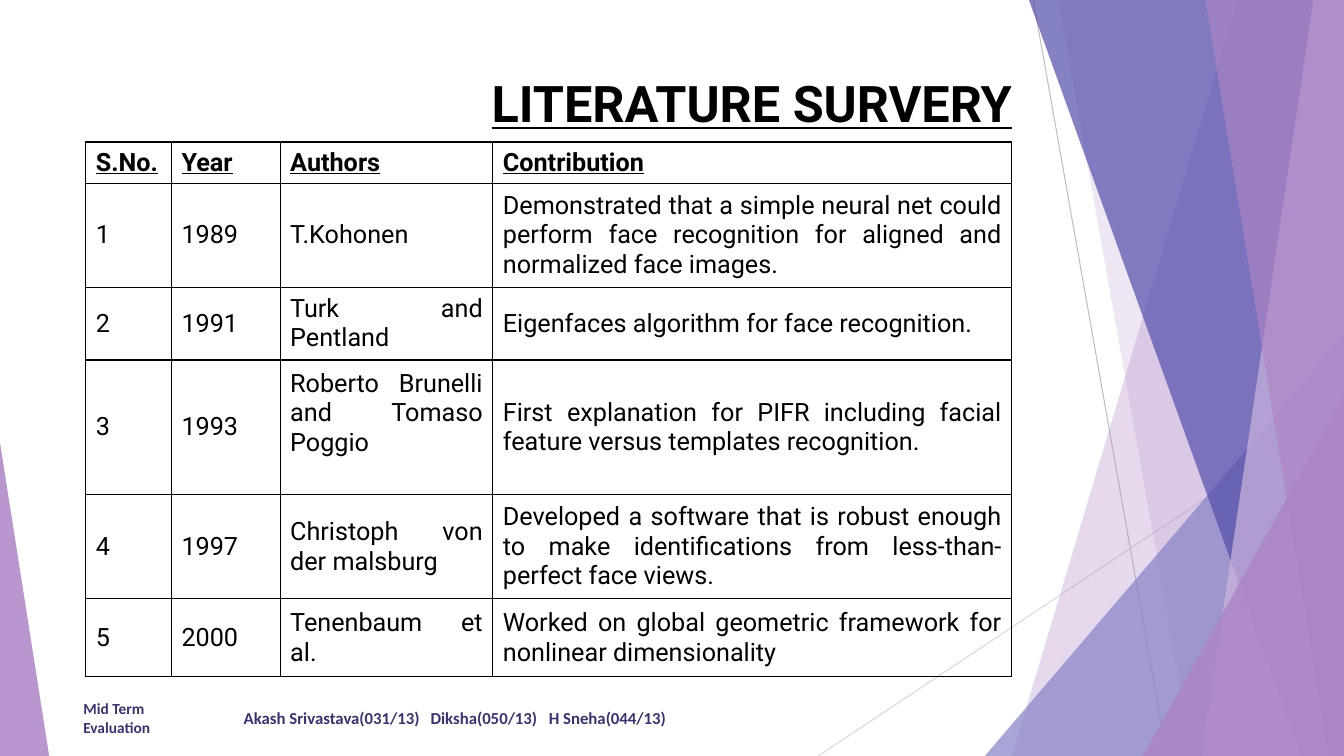
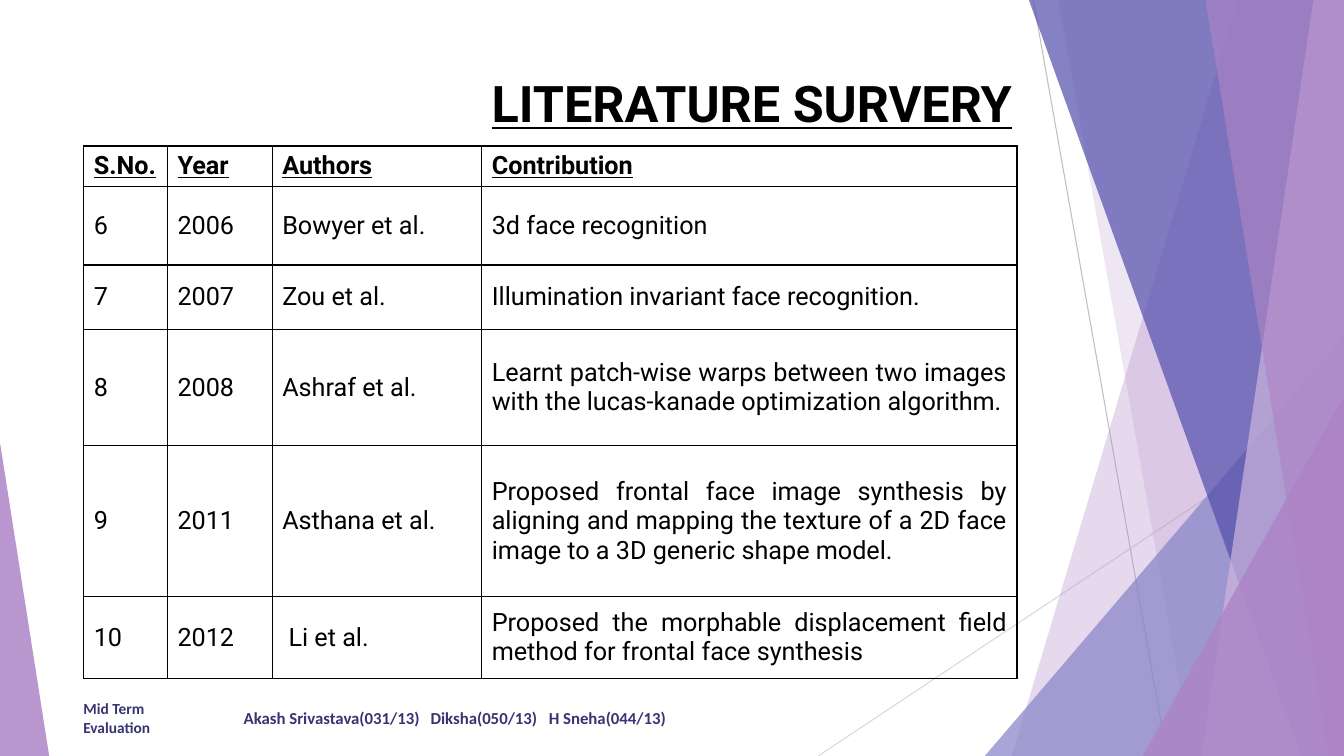
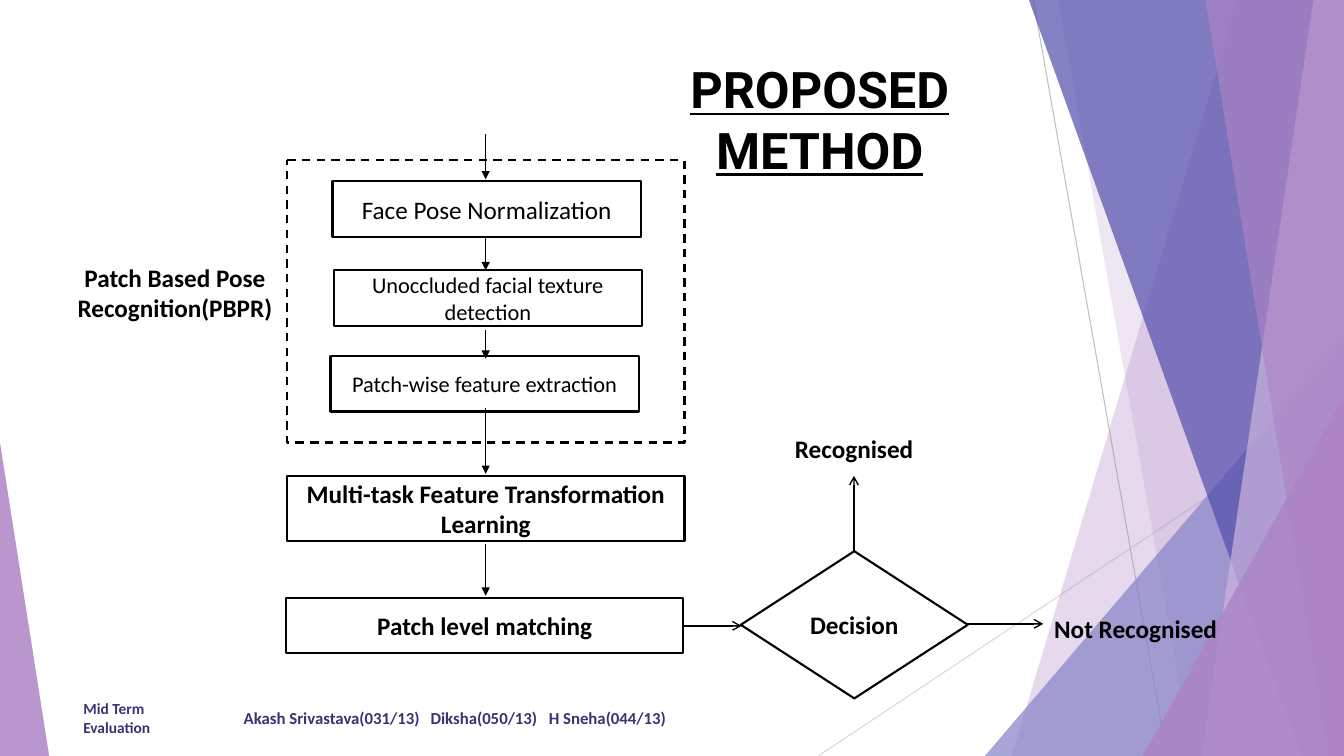
"""Build three slides on face recognition: two literature tables and a flow chart."""
from lxml.etree import SubElement
from pptx import Presentation
from pptx.dml.color import RGBColor
from pptx.enum.dml import MSO_LINE
from pptx.enum.shapes import MSO_CONNECTOR, MSO_SHAPE as Preset
from pptx.enum.text import MSO_ANCHOR as Anchor, PP_ALIGN as Align
from pptx.oxml.ns import qn
from pptx.util import Cm, Pt

WIDTH, HEIGHT = 33.87, 19.05
BLACK, WHITE, NAVY = "000000", "FFFFFF", "373472"
PURPLE, INDIGO, PERIWINKLE, LILAC = "AD84C6", "524EAB", "8784C7", "CEB5DD"
BODY, HEADING = "Calibri", "Roboto"
TEAM_TABS = (4.71, 7.69)
FLOW_X = 12.24

HEADER = ("S.No.", "Year", "Authors", "Contribution")
EARLY_WORK = (
    ("1", "1989", "T.Kohonen",
     "Demonstrated that a simple neural net could perform face recognition "
     "for aligned and normalized face images."),
    ("2", "1991", "Turk and Pentland", "Eigenfaces algorithm for face recognition."),
    ("3", "1993", "Roberto Brunelli and Tomaso Poggio",
     "First explanation for PIFR including facial feature versus templates recognition."),
    ("4", "1997", "Christoph von der malsburg",
     "Developed a software that is robust enough to make identifications "
     "from less-than-perfect face views."),
    ("5", "2000", "Tenenbaum et al.",
     "Worked on global geometric framework for nonlinear dimensionality"),
)
RECENT_WORK = (
    ("6", "2006", "Bowyer et al.", "3d face recognition"),
    ("7", "2007", "Zou et al.", "Illumination invariant face recognition."),
    ("8", "2008", "Ashraf et al.",
     "Learnt patch-wise warps between two images with the lucas-kanade "
     "optimization algorithm."),
    ("9", "2011", "Asthana et al.",
     "Proposed frontal face image synthesis by aligning and mapping the texture "
     "of a 2D face image to a 3D generic shape model."),
    ("10", "2012", " Li et al.",
     "Proposed the morphable displacement field method for frontal face synthesis"),
)


def color(code):
    return RGBColor.from_string(code)


def write(frame, text, size, face=BODY, ink=BLACK, bold=False, underline=False,
          align=Align.LEFT):
    frame.word_wrap = True
    frame.text = text
    paragraph = frame.paragraphs[0]
    paragraph.alignment = align
    font = paragraph.font
    font.name, font.size, font.bold, font.underline = face, Pt(size), bold, underline
    font.color.rgb = color(ink)
    return paragraph


def add_label(slide, place, text, size, anchor=Anchor.TOP, **style):
    label = slide.shapes.add_textbox(*map(Cm, place))
    label.text_frame.vertical_anchor = anchor
    return write(label.text_frame, text, size, **style)


def add_title(slide, place, text, align):
    add_label(slide, place, text, 36, face=HEADING, bold=True, underline=True, align=align)


def tint(facet, code, opacity):
    facet.shadow.inherit = False
    facet.line.fill.background()
    facet.fill.solid()
    facet.fill.fore_color.rgb = color(code)
    shade = facet._element.spPr.find(".//" + qn("a:srgbClr"))
    SubElement(shade, qn("a:alpha"), val=str(opacity * 1000))


def add_band(slide, top_x, bottom_x, code, opacity):
    outline = slide.shapes.build_freeform(Cm(top_x), Cm(0), scale=1.0)
    corners = ((WIDTH, 0), (WIDTH, HEIGHT), (bottom_x, HEIGHT))
    outline.add_line_segments([(Cm(x), Cm(y)) for x, y in corners], close=True)
    tint(outline.convert_to_shape(), code, opacity)


def add_wedge(slide, left, top, width, apex, code, opacity):
    wedge = slide.shapes.add_shape(Preset.ISOSCELES_TRIANGLE, Cm(left), Cm(top),
                                   Cm(width), Cm(HEIGHT - top))
    wedge.adjustments[0] = apex
    tint(wedge, code, opacity)


def add_line(slide, start, end, code=BLACK, weight=1, head=None):
    line = slide.shapes.add_connector(MSO_CONNECTOR.STRAIGHT, *map(Cm, (*start, *end)))
    line.line.color.rgb = color(code)
    line.line.width = Pt(weight)
    if head:
        SubElement(line.line._get_or_add_ln(), qn("a:tailEnd"), type=head)
    SubElement(line._element.spPr, qn("a:effectLst"))


def add_step(slide, place, text="", size=18, bold=False,
             preset=Preset.FLOWCHART_PROCESS, filled=True, dashed=False):
    step = slide.shapes.add_shape(preset, *map(Cm, place))
    step.shadow.inherit = False
    if filled:
        step.fill.solid()
        step.fill.fore_color.rgb = color(WHITE)
    else:
        step.fill.background()
    step.line.color.rgb = color(BLACK)
    step.line.width = Pt(1.5)
    if dashed:
        step.line.dash_style = MSO_LINE.DASH
    if text:
        step.text_frame.vertical_anchor = Anchor.MIDDLE
        write(step.text_frame, text, size, bold=bold, align=Align.CENTER)


def add_borders(cell):
    properties = cell._tc.get_or_add_tcPr()
    for side in ("lnL", "lnR", "lnT", "lnB"):
        edge = SubElement(properties, qn("a:" + side), w=str(Pt(1)))
        ink = SubElement(edge, qn("a:solidFill"))
        SubElement(ink, qn("a:srgbClr"), val=BLACK)


def add_survey(slide, left, top, widths, heights, studies):
    records = (HEADER, *studies)
    survey = slide.shapes.add_table(len(records), len(HEADER), Cm(left), Cm(top),
                                    Cm(sum(widths)), Cm(sum(heights))).table
    survey.first_row = survey.horz_banding = False
    for column, width in zip(survey.columns, widths):
        column.width = Cm(width)
    for index, (record, height) in enumerate(zip(records, heights)):
        survey.rows[index].height = Cm(height)
        for cell, text in zip(survey.rows[index].cells, record):
            add_borders(cell)
            cell.fill.background()
            cell.vertical_anchor = Anchor.MIDDLE
            write(cell.text_frame, text, 18, face=HEADING, bold=index == 0,
                  underline=index == 0, align=Align.JUSTIFY)
    return survey


def add_backdrop(slide):
    add_line(slide, (26.04, 0), (29.41, HEIGHT), "BFBFBF", 0.75)
    add_line(slide, (WIDTH, 10.24), (20.62, HEIGHT), "D9D9D9", 0.75)
    add_band(slide, 31.19, 25.5, PURPLE, 30)
    add_band(slide, 26.67, 30.05, PURPLE, 20)
    add_wedge(slide, 24.82, 8.46, WIDTH - 24.82, 1, PERIWINKLE, 72)
    add_band(slide, 25.93, 32.79, INDIGO, 70)
    add_band(slide, 33.1, 30.28, LILAC, 70)
    add_band(slide, 30.38, 33.48, PURPLE, 65)
    add_wedge(slide, 28.8, 9.98, WIDTH - 28.8, 1, PURPLE, 80)
    add_wedge(slide, 0, 11.15, 1.24, 0, PURPLE, 85)


def add_footer(slide):
    style = dict(anchor=Anchor.MIDDLE, ink=NAVY, bold=True)
    add_label(slide, (1.85, 17.58, 2.54, 1.02), "Mid Term Evaluation", 11, **style)
    team = add_label(slide, (5.89, 17.58, 17.5, 1.02),
                     "Akash Srivastava(031/13)\tDiksha(050/13)\tH Sneha(044/13)", 12, **style)
    properties = team._p.get_or_add_pPr()
    stops = properties.makeelement(qn("a:tabLst"))
    properties.find(qn("a:defRPr")).addprevious(stops)
    for position in TEAM_TABS:
        SubElement(stops, qn("a:tab"), pos=str(Cm(position)), algn="l")


def add_page(deck):
    slide = deck.slides.add_slide(deck.slide_layouts[6])
    add_backdrop(slide)
    add_footer(slide)
    return slide


def add_survey_page(deck, *survey):
    slide = add_page(deck)
    add_title(slide, (1.88, 1.7, 23.88, 2.51), "LITERATURE SURVERY", Align.RIGHT)
    return add_survey(slide, *survey)


def add_method_page(deck):
    slide = add_page(deck)
    add_step(slide, (7.24, 4.04, 10.01, 7.11), dashed=True)
    add_step(slide, (8.38, 4.57, 7.77, 1.4), "Face Pose Normalization")
    add_step(slide, (8.41, 6.81, 7.77, 1.4), "Unoccluded facial texture detection", 16)
    add_step(slide, (8.33, 8.97, 7.77, 1.4), "Patch-wise feature extraction", 16)
    add_step(slide, (7.24, 11.99, 10.01, 1.65),
             "Multi-task Feature Transformation Learning", bold=True)
    add_step(slide, (7.21, 15.06, 10.01, 1.4), "Patch level matching", bold=True)
    add_step(slide, (18.67, 13.89, 5.72, 3.71), "Decision", bold=True,
             preset=Preset.DIAMOND, filled=False)
    for top, bottom in ((3.38, 4.52), (5.97, 6.81), (8.31, 9.04), (10.29, 11.94),
                        (13.72, 15.01)):
        add_line(slide, (FLOW_X, top), (FLOW_X, bottom), head="triangle")
    for start, end in (((17.22, 15.77), (18.69, 15.77)),
                       ((24.38, 15.72), (26.29, 15.72)),
                       ((21.52, 13.89), (21.52, 11.99))):
        add_line(slide, start, end, head="arrow")
    for place, text in (((18.82, 10.8, 5.41, 1.02), "Recognised"),
                        ((26.11, 15.32, 5.02, 1.02), "Not Recognised"),
                        ((0.97, 6.48, 6.88, 1.8), "Patch Based Pose Recognition(PBPR)")):
        add_label(slide, place, text, 18, bold=True, align=Align.CENTER)
    add_title(slide, (14.78, 1.35, 11.76, 1.8), "PROPOSED METHOD", Align.CENTER)


def main():
    deck = Presentation()
    deck.slide_width, deck.slide_height = Cm(WIDTH), Cm(HEIGHT)
    early = add_survey_page(deck, 2.16, 3.58, (2.16, 2.74, 5.36, 13.08),
                            (1.04, 2.62, 1.83, 3.4, 2.62, 1.96), EARLY_WORK)
    early.cell(3, 2).margin_bottom = Cm(0.85)
    add_survey_page(deck, 2.11, 3.68, (2.11, 2.64, 5.28, 13.49),
                    (1, 1.98, 1.63, 2.92, 3.81, 2.06), RECENT_WORK)
    add_method_page(deck)
    deck.save("out.pptx")


if __name__ == "__main__":
    main()
